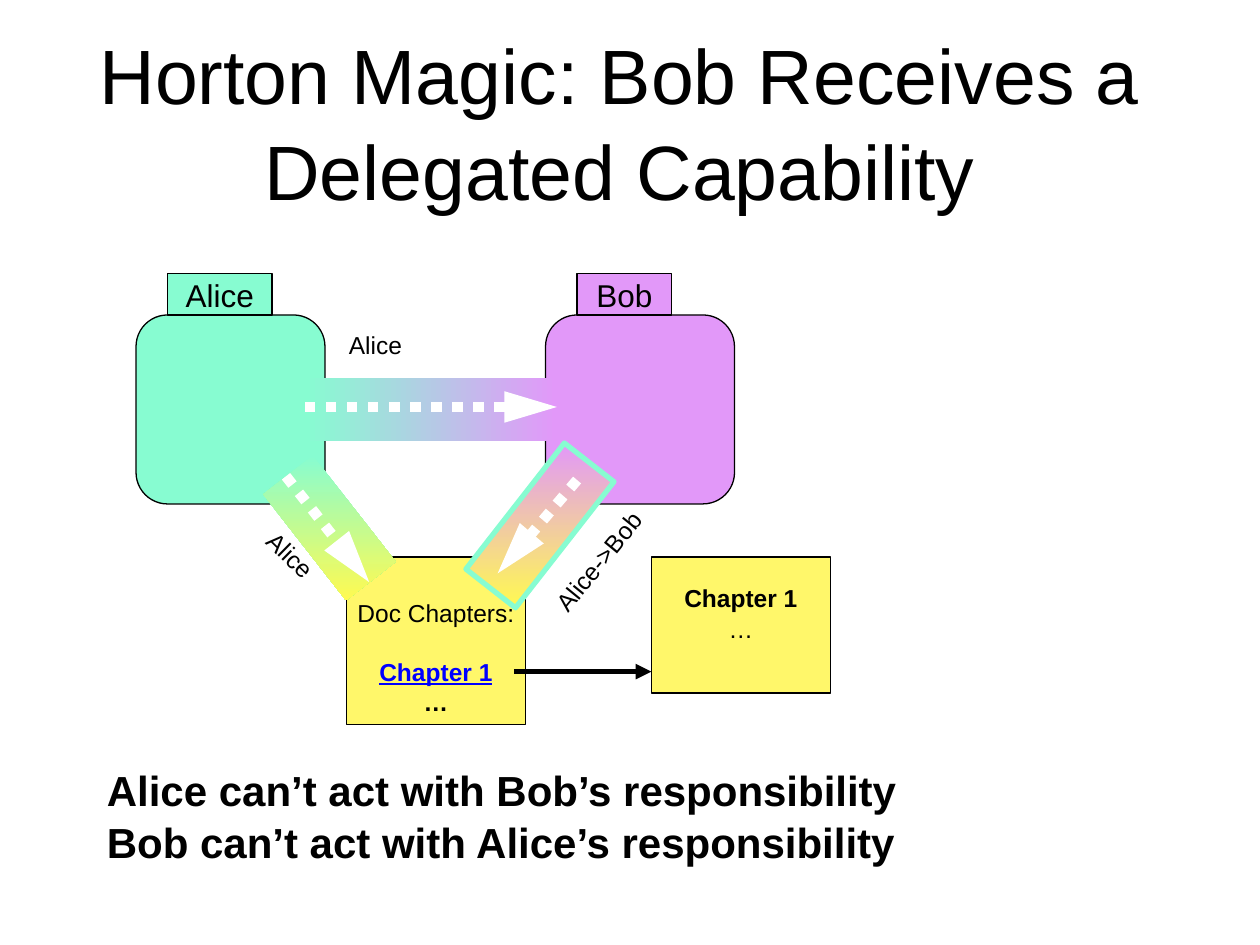
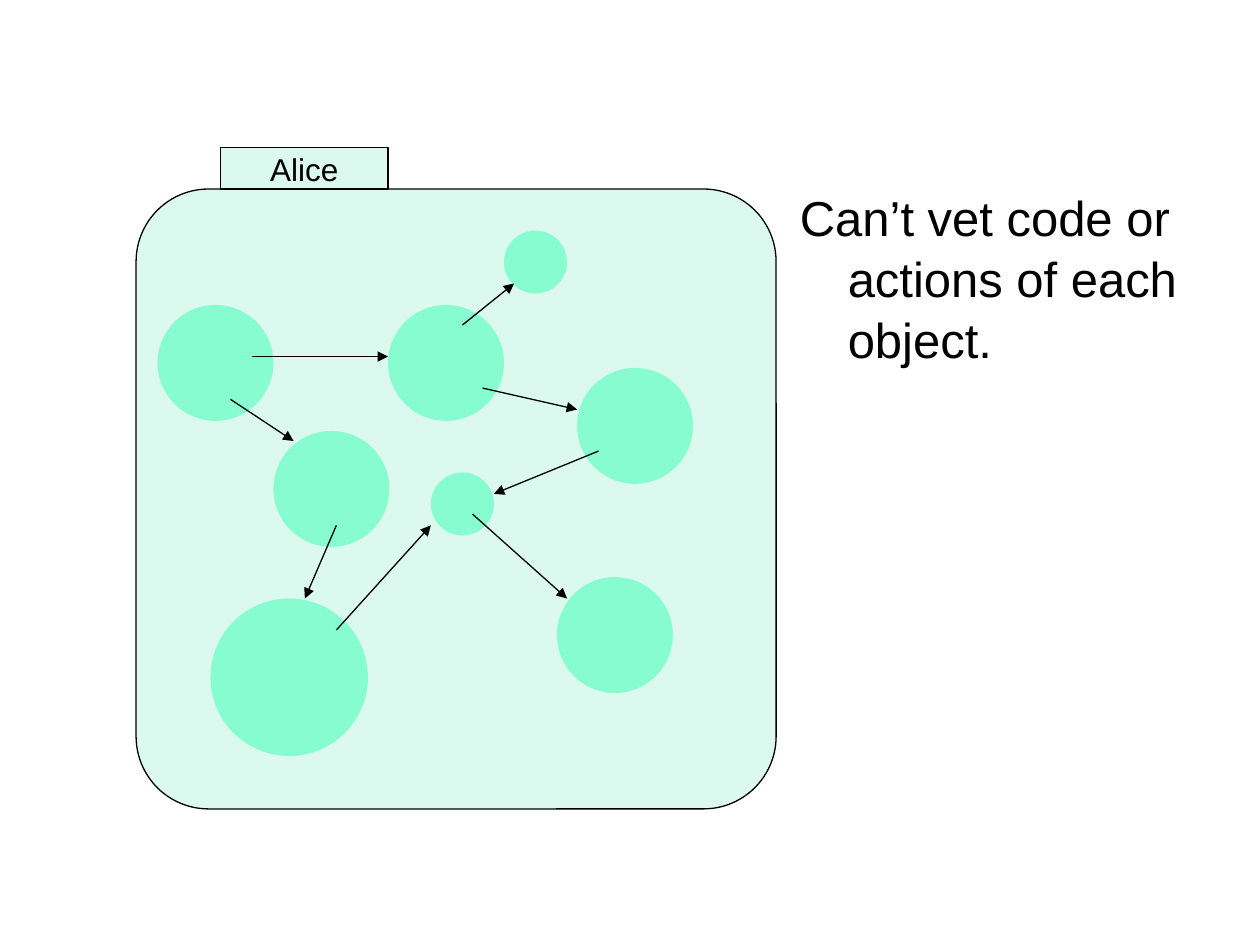
from lxml.etree import SubElement
from pptx import Presentation
from pptx.dml.color import RGBColor
from pptx.enum.dml import MSO_LINE
from pptx.enum.shapes import MSO_CONNECTOR, MSO_SHAPE as SHAPE
from pptx.enum.text import MSO_ANCHOR as ANCHOR, MSO_AUTO_SIZE, PP_ALIGN as ALIGN
from pptx.oxml.ns import qn
from pptx.util import Inches, Pt

FONT = "Arial"
LINE_SPACING = 1.04
COLORS = {
    "black": "000000", "white": "FFFFFF", "link": "0000FF", "alice": "87FCD1",
    "alice_pale": "DBF9EF", "bob": "E298F9", "doc": "FFF76A", "yellow": "FFFA51",
}

# Slide 1: delegation between Alice and Bob
TITLE = "Horton Magic: Bob Receives a Delegated Capability"
# name, colour, body (left, top, width, height), tab
ACTORS = [
    ("Bob", "bob", (4.33, 2.5, 1.5, 1.5), (4.58, 2.17, 0.75, 0.33)),
    ("Alice", "alice", (1.08, 2.5, 1.5, 1.5), (1.33, 2.17, 0.83, 0.33)),
]
# place, top inset, lines of (text, format)
DOCUMENTS = [
    ((2.75, 4.42, 1.42, 1.33), 0.32, [
        ("Doc Chapters:", {}),
        ("Chapter 1", dict(color="link", bold=True, underline=True, before=16)),
        ("…", dict(bold=True))]),
    ((5.17, 4.42, 1.42, 1.08), 0.2, [("Chapter 1", dict(bold=True)), ("…", {})]),
]
# band place, rotation, (start colour, end colour), gradient angle, outline, arrow
CHANNELS = [
    ((2.42, 3, 2, 0.5), 0, ("alice", "bob"), 0, None, (2.42, 3.23, 4.42, 3.23)),
    ((2.08, 3.94, 1.07, 0.5), 232, ("alice", "yellow"), 270, None,
     (2.27, 3.78, 2.93, 4.62)),
    ((3.65, 3.92, 1.27, 0.5), 128, ("bob", "yellow"), 270, "alice",
     (4.58, 3.81, 3.95, 4.55)),
]
CHANNEL_LABELS = [
    ("Alice", (2.67, 2.56, 0.62, 0.34), 0),
    ("Alice", (2, 4.23, 0.62, 0.34), 44.4),
    ("Alice->Bob", (4.17, 4.28, 1.15, 0.34), 309.1),
]
CHAPTER_ARROW = (4.08, 5.33, 5.17, 5.33)
CONCLUSIONS = ["Alice can’t act with Bob’s responsibility",
               "Bob can’t act with Alice’s responsibility"]

# Slide 2: the objects inside Alice
ALICE_INSIDE = ("Alice", "alice_pale", (1.08, 1.5, 5.08, 4.92), (1.75, 1.17, 1.33, 0.33))
# left, top, diameter
OBJECTS = [
    (3.08, 2.42, 0.92), (1.25, 2.42, 0.92), (2.17, 3.42, 0.92), (3.42, 3.75, 0.5),
    (4, 1.83, 0.5), (4.58, 2.92, 0.92), (1.67, 4.75, 1.25), (4.42, 4.58, 0.92),
]
REFERENCES = [
    (1.83, 3.17, 2.33, 3.5), (2, 2.83, 3.08, 2.83), (3.67, 2.58, 4.08, 2.25),
    (3.83, 3.08, 4.58, 3.25), (4.75, 3.58, 3.92, 3.92), (2.67, 4.17, 2.42, 4.75),
    (2.67, 5, 3.42, 4.17), (3.75, 4.08, 4.5, 4.75),
]
REMARK = "Can’t vet code or actions of each object."


def rgb(name):
    return RGBColor.from_string(COLORS[name])


def inches(values):
    return [Inches(v) for v in values]


def write(sp, lines, size, align=ALIGN.LEFT, anchor=ANCHOR.TOP, wrap=False,
          top=0.05, hanging=0, **common):
    """Fill a shape with lines, each a text or a (text, format) pair."""
    tf = sp.text_frame
    tf.auto_size, tf.word_wrap, tf.vertical_anchor = MSO_AUTO_SIZE.NONE, wrap, anchor
    tf.margin_left = tf.margin_right = Inches(0.1)
    tf.margin_top, tf.margin_bottom = Inches(top), Inches(0.05)
    for i, line in enumerate(lines):
        text, fmt = (line, {}) if isinstance(line, str) else line
        fmt = {**common, **fmt}
        p = tf.paragraphs[0] if i == 0 else tf.add_paragraph()
        p.alignment, p.line_spacing = align, LINE_SPACING
        p.space_before = Pt(fmt.get("before", 0))
        if hanging:
            pPr = p._p.get_or_add_pPr()
            pPr.set("marL", str(Inches(hanging)))
            pPr.set("indent", str(-Inches(hanging)))
        r = p.add_run()
        r.text = text
        r.font.name, r.font.size = FONT, Pt(size)
        r.font.bold = fmt.get("bold", False)
        r.font.underline = fmt.get("underline", False)
        r.font.color.rgb = rgb(fmt.get("color", "black"))


def add_text(slide, at, lines, size, rotation=0, **fmt):
    sp = slide.shapes.add_textbox(*inches(at))
    sp.rotation = rotation
    write(sp, lines, size, **fmt)


def add_box(slide, kind, at, fill=None, line="black", width=0.75):
    sp = slide.shapes.add_shape(kind, *inches(at))
    sp.shadow.inherit = False
    if fill:
        sp.fill.solid()
        sp.fill.fore_color.rgb = rgb(fill)
    if line:
        sp.line.color.rgb = rgb(line)
        sp.line.width = Pt(width)
    else:
        sp.line.fill.background()
    return sp


def add_arrow(slide, ends, color="black", width=0.75, dash=None, length="med"):
    line = slide.shapes.add_connector(MSO_CONNECTOR.STRAIGHT, *inches(ends))
    line.line.color.rgb = rgb(color)
    line.line.width = Pt(width)
    if dash:
        line.line.dash_style = dash
    SubElement(line.line._get_or_add_ln(), qn("a:tailEnd"),
               type="triangle", w="med", len=length)
    SubElement(line._element.spPr, qn("a:effectLst"))


def add_actor(slide, name, color, body, tab, corner):
    add_box(slide, SHAPE.ROUNDED_RECTANGLE, body, color).adjustments[0] = corner
    write(add_box(slide, SHAPE.RECTANGLE, tab, color), [name], 18,
          align=ALIGN.CENTER, anchor=ANCHOR.MIDDLE)


def add_channel(slide, at, rotation, colors, angle, outline, arrow):
    """Draw a gradient band, its gradient fixed to the slide, and a dotted arrow."""
    band = add_box(slide, SHAPE.RECTANGLE, at, line=outline, width=3)
    band.rotation = rotation
    band.fill.gradient()
    band.fill.gradient_angle = angle
    for stop, color in zip(band.fill.gradient_stops, colors):
        stop.color.rgb = rgb(color)
    band._element.spPr.find(qn("a:gradFill")).set("rotWithShape", "0")
    add_arrow(slide, arrow, "white", 6, MSO_LINE.ROUND_DOT, "lg")


def build_delegation(prs):
    slide = prs.slides.add_slide(prs.slide_layouts[5])
    title = slide.shapes.title
    title.left, title.top, title.width, title.height = inches((0.42, 0.33, 9, 1.25))
    write(title, [TITLE], 44, align=ALIGN.CENTER, anchor=ANCHOR.MIDDLE, wrap=True)
    for actor in ACTORS:
        add_actor(slide, *actor, corner=0.167)
    for at, top, lines in DOCUMENTS:
        write(add_box(slide, SHAPE.RECTANGLE, at, "doc"), lines, 14,
              align=ALIGN.CENTER, top=top)
    for channel in CHANNELS:
        add_channel(slide, *channel)
    for text, at, rotation in CHANNEL_LABELS:
        add_text(slide, at, [text], 14, rotation)
    add_text(slide, (0.75, 6, 8.67, 0.9), CONCLUSIONS, 24, wrap=True, bold=True)
    add_arrow(slide, CHAPTER_ARROW, width=3)


def build_alice_inside(prs):
    slide = prs.slides.add_slide(prs.slide_layouts[6])
    add_actor(slide, *ALICE_INSIDE, corner=0.117)
    for left, top, size in OBJECTS:
        add_box(slide, SHAPE.OVAL, (left, top, size, size), "alice", line=None)
    for ends in REFERENCES:
        add_arrow(slide, ends)
    add_text(slide, (6.25, 1.42, 3.58, 5.28), [REMARK], 28, wrap=True, hanging=0.38)


def main():
    prs = Presentation()
    prs.slide_width, prs.slide_height = Inches(10), Inches(7.5)
    build_delegation(prs)
    build_alice_inside(prs)
    prs.save("out.pptx")


if __name__ == "__main__":
    main()
